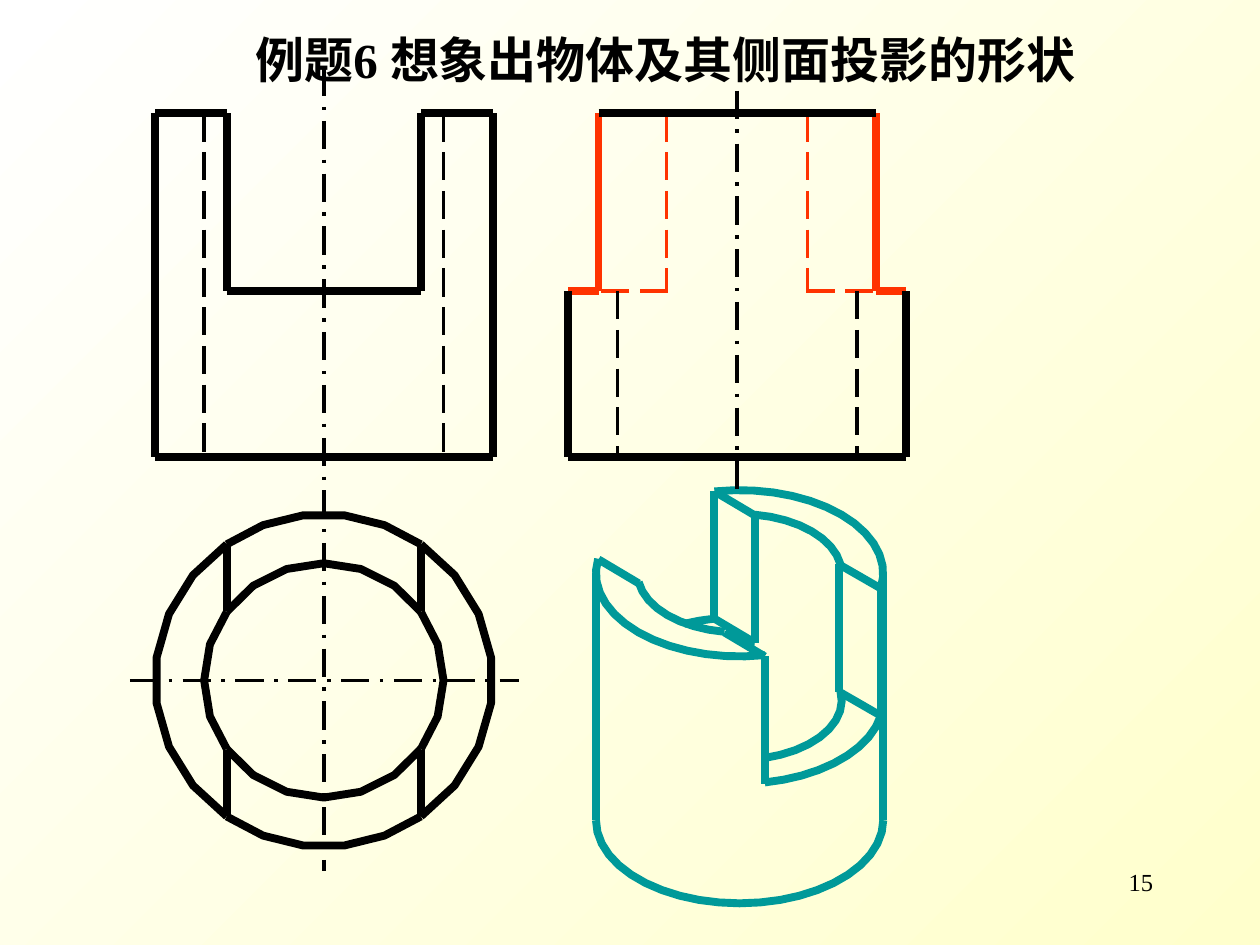
import math

from lxml import etree
from pptx import Presentation
from pptx import util as u
from pptx.dml.color import RGBColor
from pptx.enum import dml, shapes, text
from pptx.oxml import ns

BLACK = RGBColor(0x00, 0x00, 0x00)
RED = RGBColor(0xFF, 0x33, 0x00)
TEAL = RGBColor(0x00, 0x99, 0x99)
CREAM = RGBColor(0xFF, 0xFF, 0xCC)
WHITE = RGBColor(0xFF, 0xFF, 0xFF)
FONT = "Times New Roman"

# Line styles: colour, width in points, dash
EDGE = (BLACK, 4.5, None)
NEW_EDGE = (RED, 4.5, None)
SOLID_EDGE = (TEAL, 4.5, None)
HIDDEN = (BLACK, 0, dml.MSO_LINE.LONG_DASH)
NEW_HIDDEN = (RED, 0, dml.MSO_LINE.LONG_DASH)
AXIS = (BLACK, 0, dml.MSO_LINE.LONG_DASH_DOT)

TITLE = "例题6 想象出物体及其侧面投影的形状"
PAGE_NUMBER = "15"

# Levels and half widths shared by the projections
TOP, SLOT, BASE = 0.9, 2.31, 3.63
OUTER, INNER, CUT = 1.34, 0.95, 0.77
PLAN_Y = 5.4

# Lines are x1, y1, x2, y2, style, with x measured from the view's axis.
# "pairs" are drawn on both sides of the axis.
# Arcs are centre x, centre y, radius x, radius y, start, end, segments.
FRONT = {
    "axis": 2.57,
    "pairs": [
        (INNER, TOP, INNER, BASE, HIDDEN),
        (CUT, TOP, OUTER, TOP, EDGE),
        (CUT, TOP, CUT, SLOT, EDGE),
        (OUTER, TOP, OUTER, BASE, EDGE),
    ],
    "lines": [
        (-OUTER, BASE, OUTER, BASE, EDGE),
        (-CUT, SLOT, CUT, SLOT, EDGE),
        (0, 0.54, 0, 3.85, AXIS),
    ],
}
PLAN = {
    "axis": 2.57,
    "pairs": [
        (CUT, 4.32, CUT, 4.85, EDGE),
        (CUT, 5.95, CUT, 6.48, EDGE),
    ],
    "lines": [
        (-1.54, PLAN_Y, 1.55, PLAN_Y, AXIS),
        (0, 3.89, 0, 6.91, AXIS),
    ],
    "arcs": [
        (0, PLAN_Y, rx, ry, start, end, segments)
        for rx, ry, corner, side, cap in (
            (OUTER, 1.32, 54.9, 7, 5), (INNER, 0.93, 35.85, 4, 6))
        for start, end, segments in (
            (-corner, corner, side), (corner, 180 - corner, cap),
            (180 - corner, 180 + corner, side),
            (180 + corner, 360 - corner, cap))
    ],
    "arc_style": EDGE,
}
SIDE = {
    "axis": 5.85,
    "lines": [
        (0, 0.72, 0, 3.89, AXIS),
        (-OUTER, BASE, OUTER, BASE, EDGE),
    ],
    "pairs": [
        (0.55, SLOT, 1.1, SLOT, NEW_HIDDEN),
        (0.56, TOP, 0.56, SLOT, NEW_HIDDEN),
        (INNER, SLOT, INNER, BASE, HIDDEN),
        (1.1, SLOT, OUTER, SLOT, NEW_EDGE),
        (1.1, TOP, 1.1, SLOT, NEW_EDGE),
        (OUTER, SLOT, OUTER, BASE, EDGE),
    ],
    "last": [(-1.1, TOP, 1.1, TOP, EDGE)],
}
RIM, FLOOR, FOOT = 4.55, 5.56, 6.51
BODY, BORE = (1.14, 0.66), (0.81, 0.47)
PICTORIAL = {
    "axis": 5.87,
    "pairs": [(1.14, RIM, 1.14, FOOT, SOLID_EDGE)],
    "arcs": [
        (0, FOOT, *BODY, 180, 0, 22),
        (0, RIM, *BODY, 10.5, -100.1, 14),
        (0, RIM, *BODY, 190.1, 79.9, 14),
        (0, FLOOR, *BODY, 79.9, 10.5, 9),
        (0, FLOOR, *BODY, -100.1, -112.7, 2),
        (0, RIM, *BORE, -8.6, -81.5, 8),
        (0, RIM, *BORE, 171.4, 98.5, 8),
        (0, FLOOR, *BORE, 75.7, -8.6, 9),
    ],
    "arc_style": SOLID_EDGE,
    "lines": [
        (*ends, SOLID_EDGE) for ends in (
            (0.79, 4.48, 1.12, 4.67), (1.12, 4.67, 1.12, 5.68),
            (0.79, 5.49, 1.12, 5.68), (0.79, 4.48, 0.79, 5.49),
            (-0.2, 3.9, -0.2, 4.91), (-0.2, 3.9, 0.12, 4.09),
            (-0.2, 4.91, 0.12, 5.1), (0.12, 4.09, 0.12, 5.1),
            (0, 5.09, 0.12, 5.1), (0.2, 5.21, 0.2, 6.22),
            (-0.12, 5.02, 0.2, 5.21), (-1.12, 4.44, -0.8, 4.63))
    ],
}


def style_line(line, style):
    colour, width, dash = style
    line.color.rgb = colour
    line.width = u.Pt(width)
    if dash is not None:
        line.dash_style = dash


def draw_line(group, axis, x1, y1, x2, y2, style):
    edge = group.shapes.add_connector(
        shapes.MSO_CONNECTOR.STRAIGHT, u.Inches(axis + x1), u.Inches(y1),
        u.Inches(axis + x2), u.Inches(y2))
    style_line(edge.line, style)
    etree.SubElement(edge._element.spPr, ns.qn("a:effectLst"))


def draw_arc(group, axis, cx, cy, rx, ry, start, end, segments, style):
    angles = [math.radians(start + (end - start) * i / segments)
              for i in range(segments + 1)]
    points = [(u.Inches(axis + cx + rx * math.cos(a)),
               u.Inches(cy + ry * math.sin(a))) for a in angles]
    builder = group.shapes.build_freeform(*points[0])
    builder.add_line_segments(points[1:], close=False)
    curve = builder.convert_to_shape()
    curve.fill.background()
    curve.shadow.inherit = False
    style_line(curve.line, style)


def draw_view(page, view):
    group = page.shapes.add_group_shape()
    axis = view["axis"]
    for arc in view.get("arcs", []):
        draw_arc(group, axis, *arc, view["arc_style"])
    for x1, y1, x2, y2, style in view["pairs"]:
        for side in (-1, 1):
            draw_line(group, axis, side * x1, y1, side * x2, y2, style)
    for line in view["lines"] + view.get("last", []):
        draw_line(group, axis, *line)


def write(box, words, size, bold=False, align=None, anchor=None):
    frame = box.text_frame
    frame.word_wrap = True
    frame.auto_size = text.MSO_AUTO_SIZE.NONE
    frame.vertical_anchor = anchor
    para = frame.paragraphs[0]
    para.alignment = align
    span = para.add_run()
    span.text = words
    span.font.name = FONT
    span.font.size = u.Pt(size)
    span.font.bold = bold
    span.font.color.rgb = BLACK


def main():
    deck = Presentation()
    deck.slide_width, deck.slide_height = u.Inches(10), u.Inches(7.5)
    page = deck.slides.add_slide(deck.slide_layouts[5])

    # Background, cream at bottom right to white at top left
    fill = page.background.fill
    fill.gradient()
    fill.gradient_angle = 135
    for stop, position, colour in zip(fill.gradient_stops, (0, 1), (CREAM, WHITE)):
        stop.position = position
        stop.color.rgb = colour

    # Title
    title = page.shapes.title
    title.left, title.top = u.Inches(1.03), u.Inches(0.04)
    title.width, title.height = u.Inches(8.5), u.Inches(0.86)
    write(title, TITLE, 28, bold=True, align=text.PP_ALIGN.CENTER,
          anchor=text.MSO_ANCHOR.MIDDLE)

    # Drawings
    for view in (PICTORIAL, FRONT, PLAN, SIDE):
        draw_view(page, view)

    # Page number
    number = page.shapes.add_textbox(
        u.Inches(7.17), u.Inches(6.83), u.Inches(2.08), u.Inches(0.5))
    write(number, PAGE_NUMBER, 14, align=text.PP_ALIGN.RIGHT,
          anchor=text.MSO_ANCHOR.TOP)

    deck.save("out.pptx")


if __name__ == "__main__":
    main()
